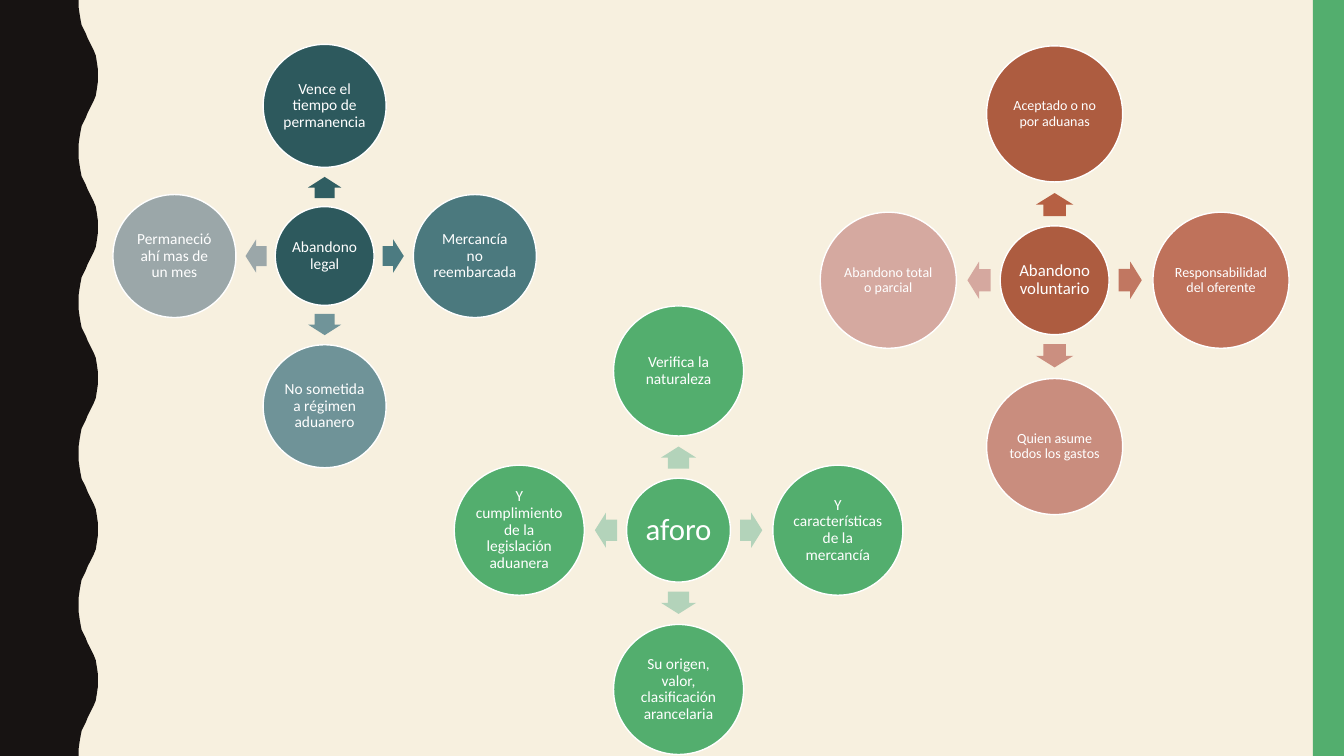
from pptx import Presentation
from pptx.dml.color import RGBColor
from pptx.enum.shapes import MSO_SHAPE
from pptx.enum.text import MSO_ANCHOR, PP_ALIGN
from pptx.util import Inches, Pt

WIDE, HIGH = 13.33, 7.5
CREAM, BLACK, GREEN, MINT, WHITE = "F7F0DF", "171312", "53AE6E", "B3D3BA", "FFFFFF"
SIDES = [(0, -1, 270), (1, 0, 0), (0, 1, 90), (-1, 0, 180)]

CLUSTERS = [
    dict(mid=(3.22, 2.54), core=("Abandono legal", 11, 0.98, "2D595D"),
         size=11, disc=1.22, orbit=1.49, gap=0.68, arrow=(0.21, 0.33), inset=0.02,
         items=[("Vence el tiempo de permanencia", "2D595D", "305E62"),
                ("Mercancía no reembarcada", "4B797E", "4C7B81"),
                ("No sometida a régimen aduanero", "6F9398", "709499"),
                ("Permaneció ahí mas de un mes", "9BA7A9", "9BA7A9")]),
    dict(mid=(10.46, 2.78), core=("Abandono voluntario", 12, 1.08, "AD5C40"),
         size=10, disc=1.35, orbit=1.65, gap=0.75, arrow=(0.23, 0.37), inset=0.01,
         items=[("Aceptado o no por aduanas", "AD5C40", "B66043"),
                ("Responsabilidad del oferente", "BF725B", "C17761"),
                ("Quien asume todos los gastos", "C98D7E", "CB8F80"),
                ("Abandono total o parcial", "D5A9A0", "D5A89F")]),
    dict(mid=(6.73, 5.26), core=("aforo", 22, 1.03, GREEN),
         size=11, disc=1.29, orbit=1.58, gap=0.72, arrow=(0.22, 0.35), inset=0,
         items=[("Verifica la naturaleza", GREEN, MINT),
                ("Y características de la mercancía", GREEN, MINT),
                ("Su origen, valor, clasificación arancelaria", GREEN, MINT),
                ("Y cumplimiento de la legislación aduanera", GREEN, MINT)]),
]

WAVE, UNITS = 1.5, 100
RISE = [(0.78, 0), (0.78, 0.07), (0.79, 0.14), (0.8, 0.2), (0.81, 0.25),
        (0.83, 0.29), (0.85, 0.33), (0.87, 0.38), (0.89, 0.42), (0.91, 0.46),
        (0.93, 0.5), (0.95, 0.55), (0.96, 0.61), (0.97, 0.68), (0.97, 0.75)]


def paint(shape, color, line=None):
    """Fill a shape and set or remove its outline."""
    shape.shadow.inherit = False
    shape.fill.solid()
    shape.fill.fore_color.rgb = RGBColor.from_string(color)
    if line:
        shape.line.color.rgb = RGBColor.from_string(line)
        shape.line.width = Pt(1)
    else:
        shape.line.fill.background()


def write(shape, text, size=11, color=WHITE, font="Calibri", inset=0.02):
    """Put centred text in a shape."""
    frame = shape.text_frame
    frame.word_wrap = True
    frame.vertical_anchor = MSO_ANCHOR.MIDDLE
    frame.margin_left = frame.margin_right = Inches(inset)
    frame.margin_top = frame.margin_bottom = Inches(inset)
    para = frame.paragraphs[0]
    para.alignment = PP_ALIGN.CENTER
    para.line_spacing = 0.9
    run = para.add_run()
    run.text = text
    run.font.size = Pt(size)
    run.font.name = font
    run.font.color.rgb = RGBColor.from_string(color)


def place(shapes, kind, x, y, wide, high):
    """Add a preset shape centred on a point."""
    return shapes.add_shape(kind, Inches(x - wide / 2), Inches(y - high / 2),
                            Inches(wide), Inches(high))


def circle(shapes, x, y, disc, color, text, **style):
    """Add a labelled circle."""
    shape = place(shapes, MSO_SHAPE.OVAL, x, y, disc, disc)
    paint(shape, color, WHITE)
    write(shape, text, **style)


def cluster(slide, mid, core, size, disc, orbit, gap, arrow, inset, items):
    """Draw a core with four circles and arrows around it."""
    shapes = slide.shapes.add_group_shape().shapes
    x, y = mid
    text, big, wide, color = core
    circle(shapes, x, y, wide, color, text, size=big)
    for (dx, dy, turn), (text, color, tint) in zip(SIDES, items):
        point = place(shapes, MSO_SHAPE.RIGHT_ARROW, x + dx * gap, y + dy * gap, *arrow)
        point.adjustments[0], point.adjustments[1] = 0.6, 0.5
        point.rotation = turn
        paint(point, tint)
        circle(shapes, x + dx * orbit, y + dy * orbit, disc, color, text,
               size=size, inset=inset)


def border(slide):
    """Draw the wavy left edge and the right bar."""
    fall = [(x, WAVE - y) for x, y in reversed(RISE)]
    edge = [(x, y + n * WAVE) for n in range(5) for x, y in RISE + fall[1:]]
    dots = [(round(x * UNITS), round(y * UNITS)) for x, y in edge + [(0, HIGH)]]
    build = slide.shapes.build_freeform(0, 0, scale=Inches(1) / UNITS)
    build.add_line_segments(dots, close=True)
    paint(build.convert_to_shape(), BLACK)
    bar = place(slide.shapes, MSO_SHAPE.RECTANGLE, WIDE - 0.155, HIGH / 2, 0.31, HIGH)
    paint(bar, GREEN)


deck = Presentation()
deck.slide_width, deck.slide_height = Inches(WIDE), Inches(HIGH)
slide = deck.slides.add_slide(deck.slide_layouts[6])
slide.background.fill.solid()
slide.background.fill.fore_color.rgb = RGBColor.from_string(CREAM)
border(slide)
for group in CLUSTERS:
    cluster(slide, **group)
deck.save("out.pptx")
